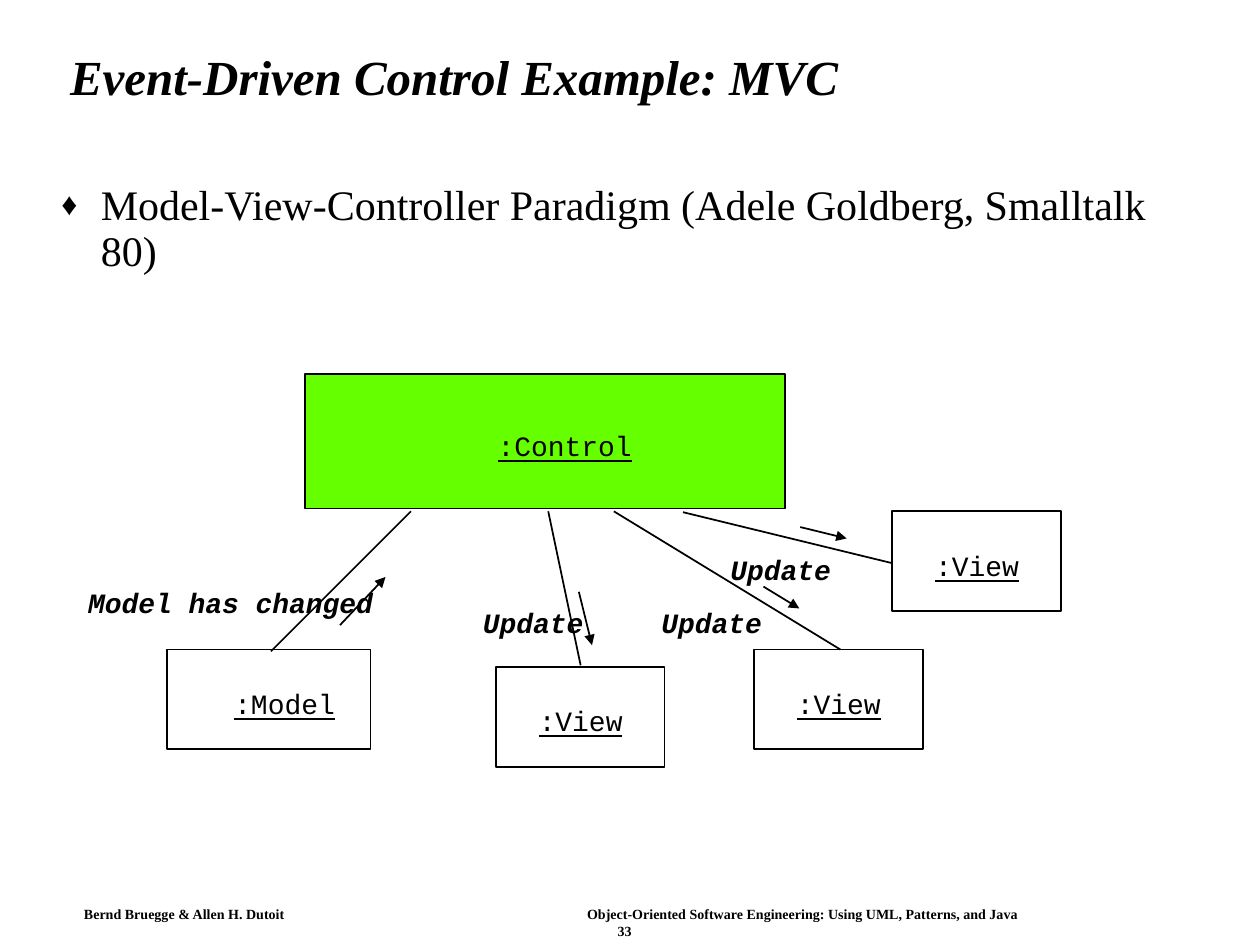
from dataclasses import dataclass

from lxml import etree
from pptx import Presentation
from pptx.dml.color import RGBColor
from pptx.enum.shapes import MSO_CONNECTOR, MSO_SHAPE
from pptx.enum.text import MSO_ANCHOR, PP_ALIGN
from pptx.oxml.ns import qn
from pptx.util import Pt

STRAIGHT = MSO_CONNECTOR.STRAIGHT
RECTANGLE = MSO_SHAPE.RECTANGLE
MIDDLE, TOP = MSO_ANCHOR.MIDDLE, MSO_ANCHOR.TOP
CENTER = PP_ALIGN.CENTER


@dataclass(frozen=True)
class Theme:
    ink: RGBColor = RGBColor(0x00, 0x00, 0x00)
    paper: RGBColor = RGBColor(0xFF, 0xFF, 0xFF)
    control: RGBColor = RGBColor(0x66, 0xFF, 0x00)
    serif: str = "Times New Roman"
    mono: str = "Courier New"
    title_size: int = 28
    body_size: int = 24
    label_size: int = 16
    footer_size: int = 8
    line_width: int = 1


THEME = Theme()

# Diagram data, in points from the diagram's top left corner
VIEW_SIZE = (96.5, 57)
VIEW_LABEL = (17.5, 17.5, 64)
NODES = [  # text, position, size, fill, label left / top / width
    (":Control", (131, 0), (274.5, 77), THEME.control, (103, 27.5, 93)),
    (":Model", (52, 157.5), (116.5, 57), THEME.paper, (31.5, 17.5, 74)),
] + [
    (":View", position, VIEW_SIZE, THEME.paper, VIEW_LABEL)
    for position in [(240, 167.5), (387.5, 157.5), (466.5, 78.5)]
]
LINKS = [
    ((111.5, 158.5), (191.5, 78.5)),
    ((270, 78.5), (288.5, 166.5)),
    ((307.5, 78.5), (437, 157.5)),
    ((347, 79), (466, 108)),
]
MESSAGES = [  # text, left / top / width, arrow start, arrow end
    ("Model has changed", (0, 117.5, 180), (151, 143.5), (177, 116)),
    ("Update", (225.5, 129, 74), (287.5, 124.5), (295, 155)),
    ("Update", (327.5, 129, 74), (393, 121.5), (413.5, 134)),
    ("Update", (367, 98.5, 74), (414, 87.5), (440.5, 94)),
]


def add_text(page, box, lines, wrap=True, anchor=TOP, inset=(7.2, 3.6)):
    """Add a text box with one paragraph per line; return its paragraphs."""
    frame = page.shapes.add_textbox(*map(Pt, box)).text_frame
    frame.word_wrap = wrap
    frame.vertical_anchor = anchor
    frame.margin_left = frame.margin_right = Pt(inset[0])
    frame.margin_top = frame.margin_bottom = Pt(inset[1])
    frame.text = "\n".join(lines)
    return frame.paragraphs


def style(para, face, size, **effects):
    font = para.font
    font.name, font.size = face, Pt(size)
    font.color.rgb = THEME.ink
    for name, value in effects.items():
        setattr(font, name, value)


def add_label(page, box, text, **effects):
    para = add_text(page, box, [text], wrap=False)[0]
    style(para, THEME.mono, THEME.label_size, **effects)


def add_line(page, start, end, arrow=False):
    line = page.shapes.add_connector(STRAIGHT, *map(Pt, start + end))
    line.line.color.rgb = THEME.ink
    line.line.width = Pt(THEME.line_width)
    if arrow:
        etree.SubElement(line.line._get_or_add_ln(), qn("a:tailEnd"), type="triangle")
    etree.SubElement(line._element.spPr, qn("a:effectLst"))


def add_title(page, box):
    para = add_text(page, box, ["Event-Driven Control Example: MVC"], anchor=MIDDLE)[0]
    para.line_spacing = 0.9
    style(para, THEME.serif, THEME.title_size, bold=True, italic=True)


def add_body(page, box):
    text = "Model-View-Controller Paradigm (Adele Goldberg, Smalltalk 80)"
    para = add_text(page, box, [text])[0]
    para.line_spacing = 0.9
    para.space_before = Pt(9)
    # Hanging diamond bullet
    properties = para._p.get_or_add_pPr()
    indent = Pt(22.5)
    properties.set("marL", str(indent))
    properties.set("indent", str(-indent))
    etree.SubElement(properties, qn("a:buSzPct"), val="75000")
    etree.SubElement(properties, qn("a:buFont"), typeface=THEME.serif)
    etree.SubElement(properties, qn("a:buChar"), char="♦")
    style(para, THEME.serif, THEME.body_size)


def add_diagram(page, box):
    left, top = box[:2]

    def place(x, y):
        return left + x, top + y

    # Objects
    for text, position, size, fill, (dx, dy, width) in NODES:
        x, y = place(*position)
        node = page.shapes.add_shape(RECTANGLE, *map(Pt, (x, y, *size)))
        node.shadow.inherit = False
        node.fill.solid()
        node.fill.fore_color.rgb = fill
        node.line.color.rgb = THEME.ink
        node.line.width = Pt(THEME.line_width)
        add_label(page, (x + dx, y + dy, width, 26), text, underline=True)

    # Links between control and the other objects
    for start, end in LINKS:
        add_line(page, place(*start), place(*end))

    # Messages and their directions
    for text, (x, y, width), start, end in MESSAGES:
        add_label(page, (*place(x, y), width, 26), text, bold=True, italic=True)
        add_line(page, place(*start), place(*end), arrow=True)


def add_footer(page, box):
    credit = (
        "Bernd Bruegge & Allen H. Dutoit\t"
        "Object-Oriented Software Engineering: Using UML, Patterns, and Java"
    )
    credit_para, number_para = add_text(page, box, [credit, "33"], inset=(5.5, 3))
    # Tab stop for the book title
    tabs = etree.SubElement(credit_para._p.get_or_add_pPr(), qn("a:tabLst"))
    etree.SubElement(tabs, qn("a:tab"), pos=str(Pt(287.5)), algn="l")
    number_para.alignment = CENTER
    for para in (credit_para, number_para):
        style(para, THEME.serif, THEME.footer_size, bold=True)


def main():
    deck = Presentation()
    deck.slide_width, deck.slide_height = Pt(720), Pt(540)
    page = deck.slides.add_slide(deck.slide_layouts[6])
    add_footer(page, (42.5, 514.5, 629, 25))
    add_title(page, (33, 17.5, 642, 55.5))
    add_body(page, (28, 102, 650, 387.5))
    add_diagram(page, (43.3, 213.7, 563, 225))
    deck.save("out.pptx")


if __name__ == "__main__":
    main()
